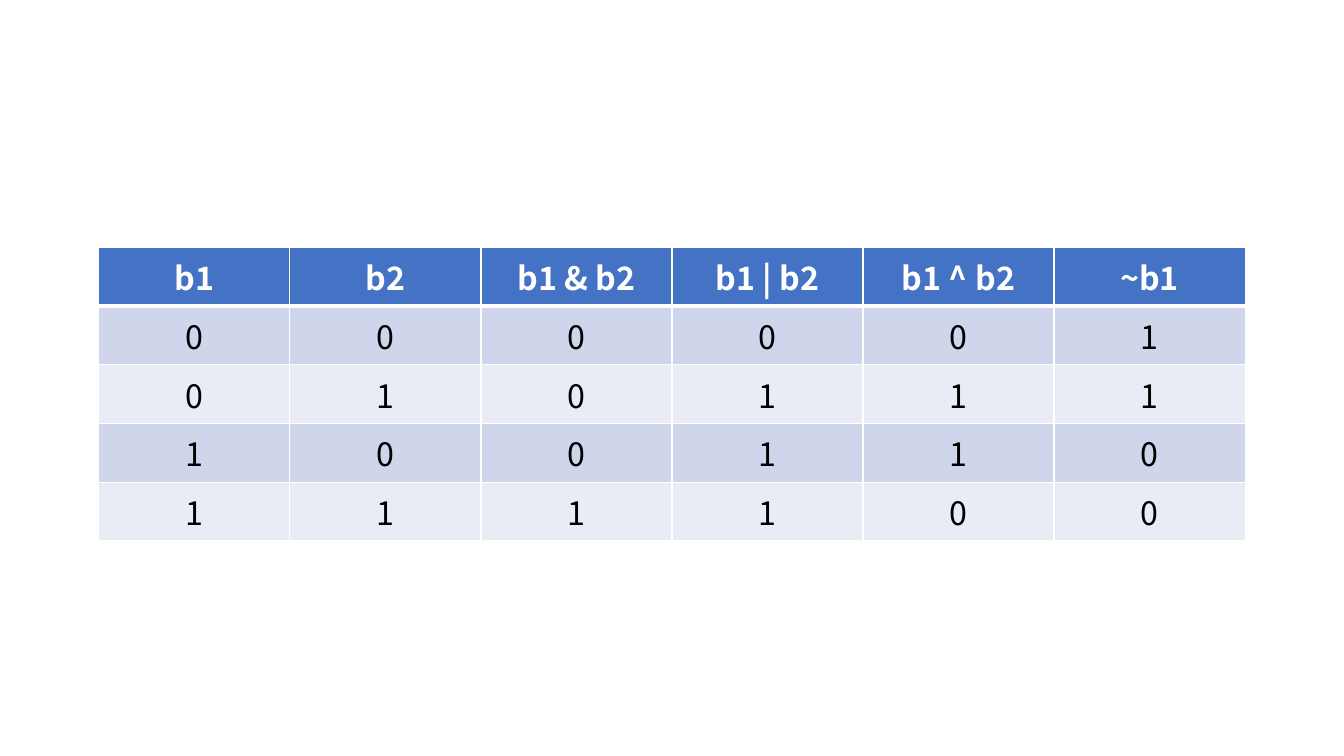
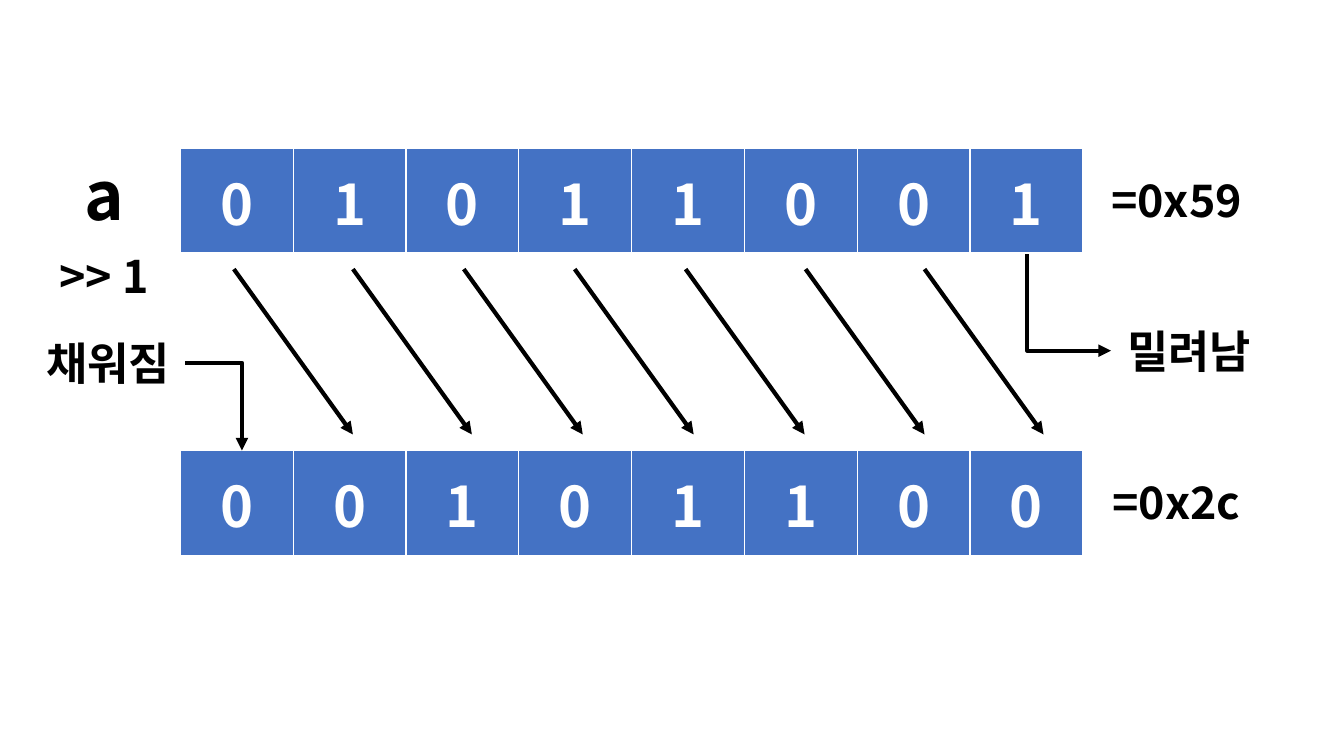
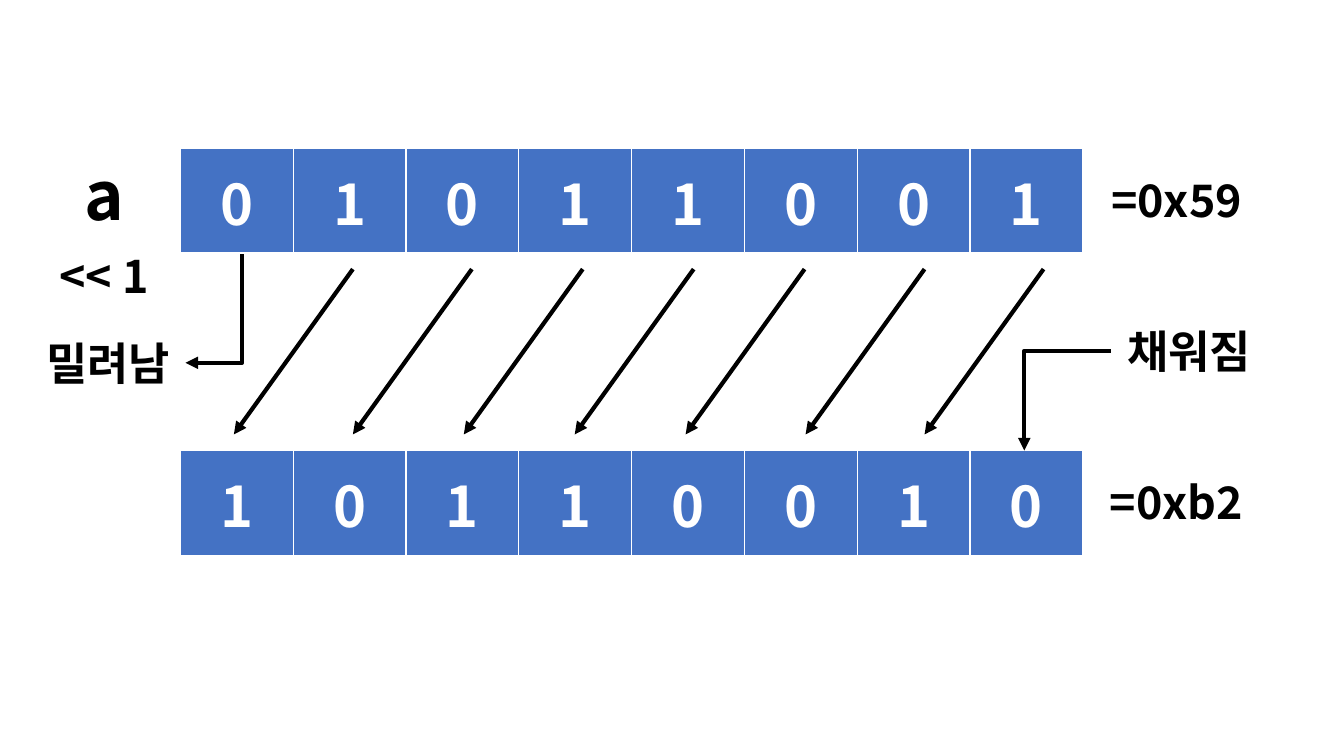
from lxml.etree import SubElement
from pptx import Presentation
from pptx.dml.color import RGBColor
from pptx.enum.shapes import MSO_CONNECTOR
from pptx.enum.text import MSO_ANCHOR, MSO_AUTO_SIZE, PP_ALIGN
from pptx.oxml.ns import qn
from pptx.util import Inches, Pt

FONT = "Noto Sans CJK KR"
BLUE, WHITE, BLACK = "4472C4", "FFFFFF", "000000"
BANDS = ["CFD5EA", "E9EBF5"]
SHIFT_BOX = (0.3, 1.47)
ARROW_LEFTS = [2.02, 3.2, 4.3, 5.4, 6.5, 7.69, 8.87]
ARROW_REACH = 1.18


def colour(value):
    return RGBColor.from_string(value)


def write(frame, text, size, ink, bold):
    frame.text = text
    paragraph = frame.paragraphs[0]
    paragraph.alignment = PP_ALIGN.CENTER
    font = paragraph.font
    font.size, font.bold, font.name = Pt(size), bold, FONT
    font.color.rgb = colour(ink)
    defaults = paragraph._p.pPr.find(qn("a:defRPr"))
    SubElement(defaults, qn("a:ea"), typeface=FONT)


def add_borders(cell, top, bottom):
    properties = cell._tc.get_or_add_tcPr()
    for side, width in {"L": 1, "R": 1, "T": top, "B": bottom}.items():
        line = SubElement(properties, qn(f"a:ln{side}"), w=str(Pt(width)))
        fill = SubElement(line, qn("a:solidFill"))
        SubElement(fill, qn("a:srgbClr"), val=WHITE)


def style_cell(cell, text, size, fill, ink, bold, margins, top, bottom):
    add_borders(cell, top, bottom)
    cell.fill.solid()
    cell.fill.fore_color.rgb = colour(fill)
    across, down = margins
    cell.margin_left = cell.margin_right = Inches(across)
    cell.margin_top = cell.margin_bottom = Inches(down)
    write(cell.text_frame, text, size, ink, bold)


def add_grid(page, box, rows, columns):
    table = page.shapes.add_table(rows, columns, *map(Inches, box)).table
    table.first_row = table.horz_banding = False
    return table


def add_truth_table(page, box, rows):
    table = add_grid(page, box, len(rows), len(rows[0]))
    for row, values in enumerate(rows):
        header = row == 0
        fill = BLUE if header else BANDS[(row - 1) % 2]
        ink = WHITE if header else BLACK
        for column, value in enumerate(values):
            style_cell(table.cell(row, column), value, 23, fill, ink, header,
                       (0.13, 0.06), 3 if row == 1 else 1, 3 if header else 1)


def add_bits(page, box, bits):
    table = add_grid(page, box, 1, len(bits))
    for column, bit in enumerate(bits):
        cell = table.cell(0, column)
        style_cell(cell, bit, 40, BLUE, WHITE, True, (0.14, 0.07), 1, 3)
        cell.vertical_anchor = MSO_ANCHOR.MIDDLE


def add_label(page, box, text, size=32):
    frame = page.shapes.add_textbox(*map(Inches, box)).text_frame
    frame.word_wrap = False
    frame.auto_size = MSO_AUTO_SIZE.SHAPE_TO_FIT_TEXT
    write(frame, text, size, BLACK, True)


def add_arrow(page, start, end, kind=MSO_CONNECTOR.STRAIGHT, tip="tailEnd"):
    arrow = page.shapes.add_connector(kind, *map(Inches, start + end))
    arrow.line.width = Pt(3)
    arrow.line.color.rgb = colour(BLACK)
    SubElement(arrow.line._get_or_add_ln(), qn(f"a:{tip}"), type="triangle")
    SubElement(arrow._element.spPr, qn("a:effectLst"))
    return arrow


def add_corner_arrow(page, side, cell, tip):
    arrow = add_arrow(page, side, cell, MSO_CONNECTOR.ELBOW, tip)
    arrow._element.spPr.find(qn("a:prstGeom")).set("prst", "bentConnector2")


def add_shift(page, origin, operator, result, value, right):
    left, top = origin
    add_bits(page, (left + 1.49, top, 8.95, 1.05), "01011001")
    add_bits(page, (left + 1.49, top + 3, 8.95, 1.05), result)
    add_label(page, (left + 0.44, top, 0.57, 0.91), "a", 48)
    add_label(page, (left + 0.1, top + 0.95, 1.26, 0.64), f"{operator} 1")
    add_label(page, (left + 10.6, top + 0.19, 1.54, 0.64), "=0x59")
    add_label(page, (left + 10.6, top + 3.19, 1.54, 0.64), f"={value}")

    filled, pushed = "채워짐", "밀려남"
    left_word, right_word = (filled, pushed) if right else (pushed, filled)
    add_label(page, (left, top + 1.81, 1.55, 0.64), left_word)
    add_label(page, (left + 10.72, top + 1.69, 1.55, 0.64), right_word)

    for near in ARROW_LEFTS:
        ends = [left + near, left + near + ARROW_REACH]
        start, end = ends if right else reversed(ends)
        add_arrow(page, (start, top + 1.2), (end, top + 2.84))

    upper, lower = top + 1.05, top + 3
    left_cell, right_cell = (lower, upper) if right else (upper, lower)
    left_tip, right_tip = ("tailEnd", "headEnd") if right else ("headEnd", "tailEnd")
    right_column = left + (9.89 if right else 9.86)
    add_corner_arrow(page, (left + 1.54, top + 2.13), (left + 2.1, left_cell), left_tip)
    add_corner_arrow(page, (left + 10.72, top + 2.01), (right_column, right_cell), right_tip)


deck = Presentation()
deck.slide_width, deck.slide_height = Inches(13.33), Inches(7.5)
truth_page, right_page, left_page = [
    deck.slides.add_slide(deck.slide_layouts[6]) for _ in range(3)]

add_truth_table(truth_page, (0.98, 2.45, 11.37, 2.59), [
    ["b1", "b2", "b1 & b2", "b1 | b2", "b1 ^ b2", "~b1"],
    *["000001", "010111", "100110", "111100"],
])
add_shift(right_page, SHIFT_BOX, ">>", "00101100", "0x2c", True)
add_shift(left_page, SHIFT_BOX, "<<", "10110010", "0xb2", False)
deck.save("out.pptx")
